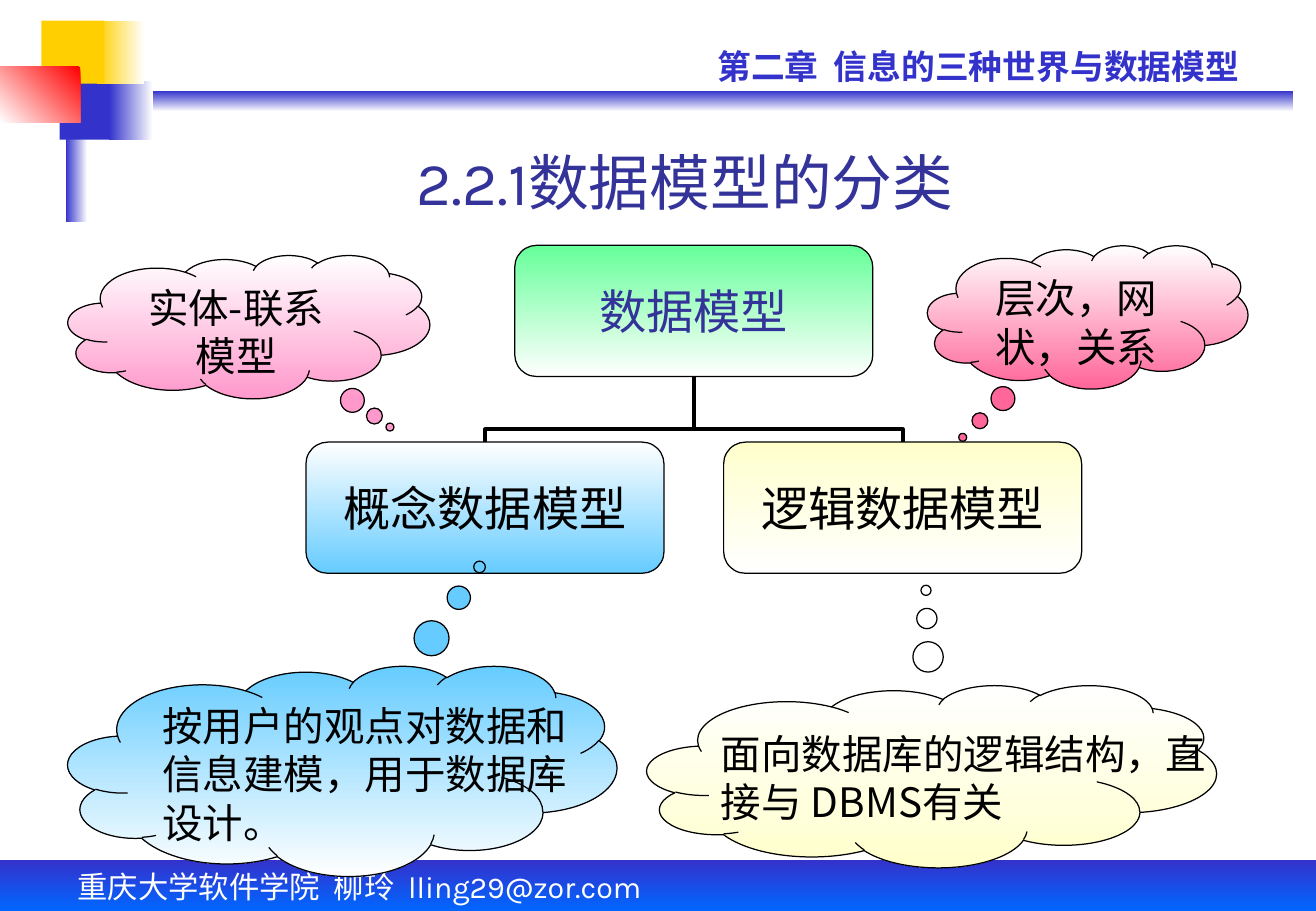
from lxml import etree
from pptx import Presentation
from pptx import util as u
from pptx.dml.color import RGBColor
from pptx.enum import shapes, text
from pptx.oxml.ns import qn

W, H = u.Inches(10.84), u.Inches(7.5)
COL, ROW = W / 100, H / 100  # boxes are (left, top, width, height) on a 100 x 100 grid

WHITE = RGBColor(0xFF, 0xFF, 0xFF)
BLACK = RGBColor(0x00, 0x00, 0x00)
BLUE = RGBColor(0x33, 0x33, 0xCC)
BRIGHT_BLUE = RGBColor(0x00, 0x66, 0xFF)
INDIGO = RGBColor(0x33, 0x33, 0x99)
SKY = RGBColor(0x66, 0xCC, 0xFF)
YELLOW = RGBColor(0xFF, 0xCF, 0x01)
CREAM = RGBColor(0xFF, 0xFF, 0xCC)
RED = RGBColor(0xFF, 0x00, 0x00)
GREEN = RGBColor(0x66, 0xFF, 0x99)
PINK = RGBColor(0xFF, 0x99, 0xCC)
ROSE = RGBColor(0xFF, 0x66, 0x99)

KARLA, CJK_JP, CJK_KR = "Karla", "Noto Sans CJK JP", "Noto Sans CJK KR"
SHAPE = shapes.MSO_SHAPE
ALIGN, ANCHOR = text.PP_ALIGN, text.MSO_ANCHOR
DOWN, LEFTWARD, DIAGONAL = 270, 180, 225


def emu(box):
    x, y, w, h = box
    return round(x * COL), round(y * ROW), round(w * COL), round(h * ROW)


def add_shape(s, kind, box, colors, angle=DOWN, outline=None):
    """Add a shape with a solid fill (one colour) or a gradient (two)."""
    sp = s.shapes.add_shape(kind, *emu(box))
    sp.shadow.inherit = False
    if len(colors) == 1:
        sp.fill.solid()
        sp.fill.fore_color.rgb = colors[0]
    else:
        sp.fill.gradient()
        sp.fill.gradient_angle = angle
        for stop, position, color in zip(sp.fill.gradient_stops, (0, 1), colors):
            stop.position = position
            stop.color.rgb = color
    if outline is None:
        sp.line.fill.background()
    else:
        sp.line.color.rgb = outline
        sp.line.width = u.Pt(0.75)
    return sp


def write(sp, words, size, font, color, align=ALIGN.LEFT, anchor=ANCHOR.TOP,
          wrap=True, bold=False, before=0):
    tf = sp.text_frame
    tf.text = words
    tf.word_wrap = wrap
    tf.auto_size = text.MSO_AUTO_SIZE.NONE
    tf.vertical_anchor = anchor
    p = tf.paragraphs[0]
    p.alignment = align
    p.space_before = u.Pt(before)
    r = p.runs[0]
    r.font.size, r.font.name, r.font.bold = u.Pt(size), font, bold
    r.font.color.rgb = color
    east_asian = CJK_JP if font == KARLA else font
    etree.SubElement(r.font._element, qn("a:ea")).set("typeface", east_asian)


def add_caption(s, box, words, size, font, color, **style):
    write(s.shapes.add_textbox(*emu(box)), words, size, font, color, **style)


def add_header(s, box):
    x, y, w, h = box
    parts = [
        ((5.81, 10, 92.44, 2.27), (BLUE, WHITE), DOWN),
        ((8.3, 8.93, 3.32, 6.4), (WHITE, BLUE), LEFTWARD),
        ((4.98, 7.73, 1.66, 16.67), (WHITE, BLUE), LEFTWARD),
        ((4.52, 8.93, 3.78, 6.4), (BLUE,), DOWN),
        ((7.38, 2.27, 3.6, 6.93), (WHITE, YELLOW), LEFTWARD),
        ((3.14, 2.27, 4.8, 6.93), (YELLOW,), DOWN),
        ((0, 7.33, 6.09, 6.13), (RED, WHITE), DIAGONAL),
    ]
    for (dx, dy, pw, ph), colors, angle in parts:
        add_shape(s, SHAPE.RECTANGLE, (x + dx, y + dy, pw, ph), colors, angle)
    add_caption(s, (x + 53.6, y + 4.4, 44.65, 5.87), "第二章  信息的三种世界与数据模型",
                20, KARLA, BLUE, bold=True, before=12.5)
    title = s.shapes.title
    title.left, title.top, title.width, title.height = emu((x + 12.45, y + 15.6, 79.15, 8.93))
    write(title, "2.2.1数据模型的分类", 36, KARLA, INDIGO,
          align=ALIGN.CENTER, anchor=ANCHOR.BOTTOM)


def add_footer(s, box):
    x, y, w, h = box
    add_shape(s, SHAPE.RECTANGLE, box, (BLUE, BRIGHT_BLUE))
    add_caption(s, (x + 4.98, y + 0.27, 55.81, h - 0.27),
                "重庆大学软件学院  柳玲  lling29@zor.com", 18, KARLA, WHITE, before=11.2)


def add_node(s, box, words, colors, color):
    sp = add_shape(s, SHAPE.ROUNDED_RECTANGLE, box, colors, outline=BLACK)
    write(sp, words, 28, CJK_KR, color, align=ALIGN.CENTER, anchor=ANCHOR.MIDDLE, wrap=False)
    tf = sp.text_frame
    tf.margin_left = tf.margin_right = tf.margin_top = tf.margin_bottom = 0
    return sp


def link(s, child, root):
    """Join a child's top to the root's bottom with an elbow that leaves vertically."""
    x1, y1 = child.left + child.width // 2, child.top
    x2, y2 = root.left + root.width // 2, root.top + root.height
    c = s.shapes.add_connector(shapes.MSO_CONNECTOR.ELBOW, x1, y1, x2, y2)
    c.begin_connect(child, 0)
    c.end_connect(root, 2)
    rise, run = y1 - y2, abs(x2 - x1)
    c.left, c.top = (x1 + x2 - rise) // 2, (y1 + y2 - run) // 2
    c.width, c.height = rise, run
    from_left = x1 < x2
    sp_pr = c._element.spPr
    xfrm = sp_pr.find(qn("a:xfrm"))
    xfrm.set("rot", "5400000" if from_left else "16200000")
    xfrm.set("flipH", "1" if from_left else "0")
    xfrm.set("flipV", "1")
    guides = sp_pr.find(qn("a:prstGeom")).find(qn("a:avLst"))
    guide = etree.SubElement(guides, qn("a:gd"))
    guide.set("name", "adj1")
    guide.set("fmla", "val 19400")
    c.line.color.rgb = BLACK
    c.line.width = u.Pt(2.25)
    etree.SubElement(sp_pr, qn("a:effectLst"))


def add_tree(s, box):
    x, y, w, h = box
    nw, nh = 27.21, 14.4
    root = add_node(s, (x + (w - nw) / 2, y, nw, nh), "数据模型", (GREEN, WHITE), INDIGO)
    children = [(x, "概念数据模型", (WHITE, SKY)),
                (x + w - nw, "逻辑数据模型", (CREAM, WHITE))]
    for left, words, colors in children:
        link(s, add_node(s, (left, y + h - nh, nw, nh), words, colors, BLACK), root)


def add_cloud(s, box, tail, colors):
    sp = add_shape(s, SHAPE.CLOUD_CALLOUT, box, colors, outline=BLACK)
    sp.adjustments[0], sp.adjustments[1] = tail
    return sp


def add_example_cloud(s, box, tail, color, words, font):
    sp = add_cloud(s, box, tail, (WHITE, color))
    write(sp, words, 24, font, BLACK, align=ALIGN.CENTER)


def add_purpose_cloud(s, box, tail, colors, caption, words, font):
    """Add a cloud whose caption box is offset from the cloud's corner."""
    add_cloud(s, box, tail, colors)
    dx, dy, w, h = caption
    add_caption(s, (box[0] + dx, box[1] + dy, w, h), words, 24, font, BLACK)


def main():
    prs = Presentation()
    prs.slide_width, prs.slide_height = W, H
    s = prs.slides.add_slide(prs.slide_layouts[5])
    add_header(s, (0, 0, 100, 25))
    add_footer(s, (0, 94.4, 100, 5.6))
    add_tree(s, (23.25, 26.93, 58.95, 36))
    add_example_cloud(s, (5.17, 28, 27.49, 15.73), (0.39, 0.7), PINK, "实体-联系模型", CJK_JP)
    add_example_cloud(s, (70.48, 26.93, 24.35, 15.73), (-0.39, 0.84), ROSE,
                      "层次，网状，关系", CJK_KR)
    add_purpose_cloud(s, (5.17, 73.07, 41.7, 23.07), (0.25, -0.97), (SKY, WHITE),
                      (6.27, 3.2, 33.86, 17.33),
                      "按用户的观点对数据和信息建模，用于数据库设计。", CJK_KR)
    add_purpose_cloud(s, (49.17, 75.2, 43.27, 20), (-0.01, -1.02), (WHITE, CREAM),
                      (4.7, 4.13, 40.87, 12),
                      "面向数据库的逻辑结构，直接与 DBMS有关", CJK_JP)
    prs.save("out.pptx")


if __name__ == "__main__":
    main()
